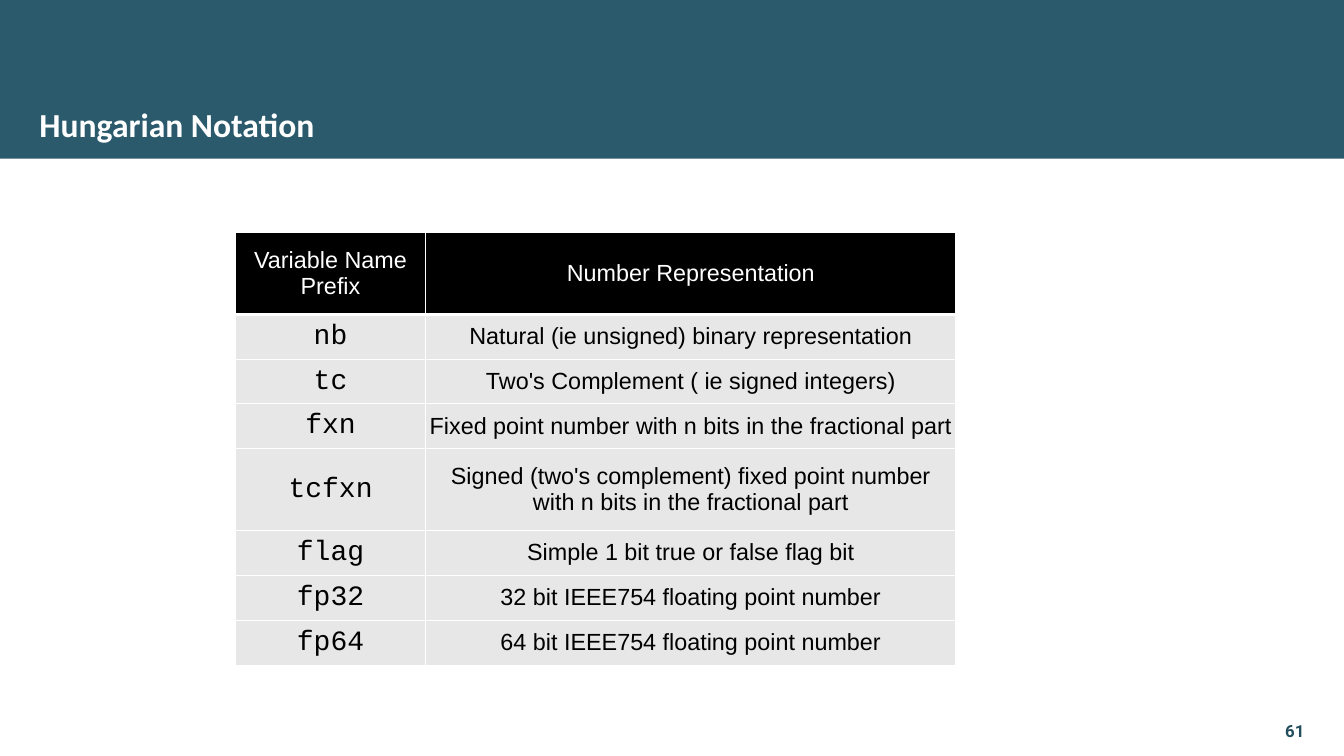
from dataclasses import dataclass

from lxml import etree
from pptx import Presentation
from pptx.dml.color import RGBColor
from pptx.enum.shapes import MSO_SHAPE
from pptx.enum.text import MSO_ANCHOR, MSO_AUTO_SIZE, PP_ALIGN
from pptx.oxml.ns import qn
from pptx.slide import Slide
from pptx.table import _Cell
from pptx.text.text import TextFrame
from pptx.util import Pt

RECTANGLE = MSO_SHAPE.RECTANGLE
MIDDLE, BOTTOM = MSO_ANCHOR.MIDDLE, MSO_ANCHOR.BOTTOM
LEFT, CENTER, RIGHT = PP_ALIGN.LEFT, PP_ALIGN.CENTER, PP_ALIGN.RIGHT
NO_AUTOFIT = MSO_AUTO_SIZE.NONE

COLORS = {
    "band": "2A5A6C",
    "number": "234E5E",
    "white": "FFFFFF",
    "black": "000000",
    "body": "E7E7E7",
}
SLIDE_WIDTH, SLIDE_HEIGHT = 1152, 648
COLUMN_WIDTHS = (163.44, 454.32)
SINGLE_ROW, DOUBLE_ROW = 38.52, 69.84
CELL_MARGIN = 2.88


@dataclass(frozen=True)
class TextStyle:
    """Font and alignment of a piece of text."""

    font: str
    size: float
    color: str
    align: PP_ALIGN = CENTER
    bold: bool = False


@dataclass(frozen=True)
class Notation:
    """One table row: a variable prefix and what it represents."""

    prefix: str
    meaning: str
    height: float = SINGLE_ROW


TITLE = TextStyle("Calibri", 28.8, "white", LEFT, True)
PAGE_NUMBER = TextStyle("Roboto", 14.4, "number", RIGHT, True)
HEADER = TextStyle("Arial", 20, "white")
PREFIX = TextStyle("Courier New", 24, "black")
MEANING = TextStyle("Arial", 20, "black")

NOTATIONS = (
    Notation("Variable Name Prefix", "Number Representation", DOUBLE_ROW),
    Notation("nb", "Natural (ie unsigned) binary representation"),
    Notation("tc", "Two's Complement ( ie signed integers)"),
    Notation("fxn", "Fixed point number with n bits in the fractional part"),
    Notation(
        "tcfxn",
        "Signed (two's complement) fixed point number with n bits in the fractional part",
        DOUBLE_ROW,
    ),
    Notation("flag", "Simple 1 bit true or false flag bit"),
    Notation("fp32", "32 bit IEEE754 floating point number"),
    Notation("fp64", "64 bit IEEE754 floating point number"),
)


def rgb(name: str) -> RGBColor:
    """Look up a named colour."""
    return RGBColor.from_string(COLORS[name])


def write(frame: TextFrame, text: str, style: TextStyle) -> None:
    """Put styled text into a frame."""
    frame.text = text
    frame.word_wrap = True
    paragraph = frame.paragraphs[0]
    paragraph.alignment = style.align
    font = paragraph.runs[0].font
    font.name = style.font
    font.size = Pt(style.size)
    font.bold = style.bold
    font.color.rgb = rgb(style.color)


def set_frame(frame: TextFrame) -> None:
    """Anchor a frame at the bottom without margins."""
    frame.auto_size = NO_AUTOFIT
    frame.vertical_anchor = BOTTOM
    frame.margin_left = frame.margin_right = 0
    frame.margin_top = frame.margin_bottom = 0


def add_borders(cell: _Cell, bottom_width: float) -> None:
    """Draw white lines on all four sides of a cell."""
    properties = cell._tc.get_or_add_tcPr()
    for side, width in (("L", 1), ("R", 1), ("T", 1), ("B", bottom_width)):
        line = etree.SubElement(properties, qn(f"a:ln{side}"), w=str(Pt(width)))
        fill = etree.SubElement(line, qn("a:solidFill"))
        etree.SubElement(fill, qn("a:srgbClr"), val=COLORS["white"])


def fill_cell(cell: _Cell, text: str, style: TextStyle, is_header: bool) -> None:
    """Write and format one table cell."""
    write(cell.text_frame, text, style)
    cell.vertical_anchor = MIDDLE
    cell.margin_left = cell.margin_right = Pt(CELL_MARGIN)
    cell.margin_top = cell.margin_bottom = Pt(CELL_MARGIN)
    add_borders(cell, 3 if is_header else 1)
    cell.fill.solid()
    cell.fill.fore_color.rgb = rgb("black" if is_header else "body")


def add_heading(slide: Slide) -> None:
    """Place the title on its coloured band."""
    title = slide.shapes.title
    title.left, title.top = Pt(33.84), Pt(38.88)
    title.width, title.height = Pt(832.32), Pt(84.96)
    write(title.text_frame, "Hungarian Notation", TITLE)
    set_frame(title.text_frame)
    band = slide.shapes.add_shape(RECTANGLE, 0, 0, Pt(SLIDE_WIDTH), Pt(136.08))
    band.shadow.inherit = False
    band.fill.solid()
    band.fill.fore_color.rgb = rgb("band")
    band.line.fill.background()
    title.element.addprevious(band.element)


def add_page_number(slide: Slide) -> None:
    """Place the page number at the lower right."""
    number = slide.shapes.add_textbox(Pt(1072.8), Pt(603.36), Pt(45.36), Pt(31.68))
    write(number.text_frame, "61", PAGE_NUMBER)
    set_frame(number.text_frame)


def add_notation_table(slide: Slide) -> None:
    """Build the table of prefixes."""
    table = slide.shapes.add_table(
        len(NOTATIONS),
        len(COLUMN_WIDTHS),
        Pt(201.6),
        Pt(199.44),
        Pt(sum(COLUMN_WIDTHS)),
        Pt(sum(notation.height for notation in NOTATIONS)),
    ).table
    table.horz_banding = False
    for column, width in zip(table.columns, COLUMN_WIDTHS):
        column.width = Pt(width)
    for index, notation in enumerate(NOTATIONS):
        is_header = index == 0
        table.rows[index].height = Pt(notation.height)
        prefix_style, meaning_style = (HEADER, HEADER) if is_header else (PREFIX, MEANING)
        fill_cell(table.cell(index, 0), notation.prefix, prefix_style, is_header)
        fill_cell(table.cell(index, 1), notation.meaning, meaning_style, is_header)


def main() -> None:
    """Build and save the slide."""
    presentation = Presentation()
    presentation.slide_width = Pt(SLIDE_WIDTH)
    presentation.slide_height = Pt(SLIDE_HEIGHT)
    slide = presentation.slides.add_slide(presentation.slide_layouts[5])
    add_heading(slide)
    add_notation_table(slide)
    add_page_number(slide)
    presentation.save("out.pptx")


if __name__ == "__main__":
    main()
